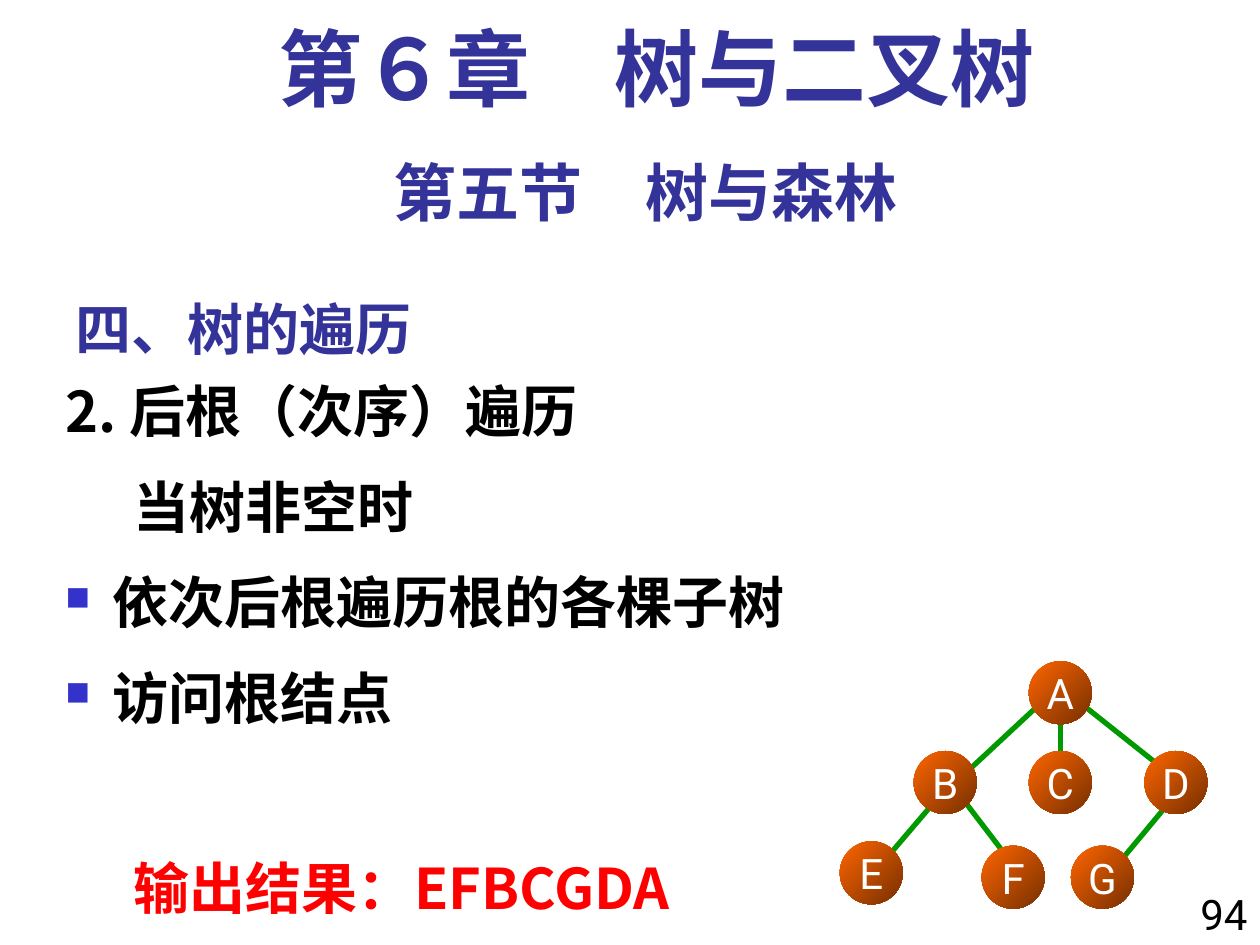
from dataclasses import dataclass

from lxml import etree
from pptx import Presentation
from pptx.dml.color import RGBColor
from pptx.enum.shapes import MSO_CONNECTOR, MSO_SHAPE
from pptx.enum.text import MSO_ANCHOR, MSO_AUTO_SIZE, PP_ALIGN
from pptx.oxml.ns import qn
from pptx.util import Cm, Pt

STRAIGHT = MSO_CONNECTOR.STRAIGHT
OVAL = MSO_SHAPE.OVAL
TOP, MIDDLE, BOTTOM = MSO_ANCHOR.TOP, MSO_ANCHOR.MIDDLE, MSO_ANCHOR.BOTTOM
GROW = MSO_AUTO_SIZE.SHAPE_TO_FIT_TEXT
LEFT, CENTER, RIGHT = PP_ALIGN.LEFT, PP_ALIGN.CENTER, PP_ALIGN.RIGHT


@dataclass(frozen=True)
class Theme:
    heading: str = "333399"
    body: str = "000000"
    result: str = "FF0000"
    bullet: str = "3333CC"
    edge: str = "009900"
    node_light: str = "FF6600"
    node_dark: str = "762F00"
    node_text: str = "FFFFFF"
    chinese_font: str = "Noto Sans CJK SC"
    latin_font: str = "Roboto"
    chapter_font: str = "Times New Roman"
    bullet_font: str = "Wingdings"
    chapter_size: int = 48
    section_size: int = 36
    body_size: int = 32
    small_size: int = 24
    edge_width: int = 3


THEME = Theme()
NODE_SIZE = 1.27
HANGING = 0.95
STEP_INDENT = 1.38
LINE_SPACING = 0.9
PARAGRAPH_GAP = 20
RESULT_GAP = 74.4

BODY_LINES = [
    ("2. 后根（次序）遍历", THEME.body, HANGING, -HANGING, 0, False),
    ("当树非空时", THEME.body, STEP_INDENT, 0, PARAGRAPH_GAP, False),
    ("依次后根遍历根的各棵子树", THEME.body, HANGING, -HANGING, PARAGRAPH_GAP, True),
    ("访问根结点", THEME.body, HANGING, -HANGING, PARAGRAPH_GAP, True),
    ("输出结果：EFBCGDA", THEME.result, STEP_INDENT, 0, RESULT_GAP, False),
]
TREE_NODES = {
    "A": (20.74, 13.33),
    "B": (18.42, 15.14),
    "C": (20.74, 15.14),
    "D": (23.07, 15.14),
    "E": (16.93, 16.96),
    "F": (19.79, 17.05),
    "G": (21.59, 17.05),
}
TREE_EDGES = [
    (21.69, 14.1, 23.29, 15.37),
    (21.06, 14.1, 19.48, 15.57),
    (21.38, 14.55, 21.38, 15.19),
    (19.15, 15.8, 17.98, 17.17),
    (19.25, 15.9, 20.22, 17.17),
    (23.8, 15.9, 22.66, 17.27),
]


def format_runs(paragraph, size, color, font_name, bold):
    """Apply one type style to every run of a paragraph."""
    for run in paragraph.runs:
        run.font.size = Pt(size)
        run.font.bold = bold
        run.font.name = font_name
        run.font.color.rgb = RGBColor.from_string(color)
        east_asian = etree.Element(qn("a:ea"), typeface=THEME.chinese_font)
        run.font._element.find(qn("a:latin")).addnext(east_asian)


def add_bullet(paragraph):
    """Give a paragraph a small coloured square bullet."""
    properties = paragraph._p.get_or_add_pPr()
    color = etree.SubElement(properties, qn("a:buClr"))
    etree.SubElement(color, qn("a:srgbClr"), val=THEME.bullet)
    etree.SubElement(properties, qn("a:buSzPct"), val="60000")
    etree.SubElement(properties, qn("a:buFont"), typeface=THEME.bullet_font, charset="2")
    etree.SubElement(properties, qn("a:buChar"), char="n")


def add_text_box(slide, box, anchor=TOP):
    """Add a wrapping text box and return its text frame."""
    text_frame = slide.shapes.add_textbox(*map(Cm, box)).text_frame
    text_frame.word_wrap = True
    text_frame.vertical_anchor = anchor
    return text_frame


def add_label(slide, text, box, size, color, font_name, align, bold=True, anchor=TOP):
    """Add a text box with one formatted line and return its text frame."""
    text_frame = add_text_box(slide, box, anchor)
    text_frame.text = text
    paragraph = text_frame.paragraphs[0]
    paragraph.alignment = align
    format_runs(paragraph, size, color, font_name, bold)
    return text_frame


def add_body(slide):
    """Add the traversal steps and the resulting order."""
    text_frame = add_text_box(slide, (1.07, 7.62, 15.67, 11.43))
    text_frame.text = "\n".join(line[0] for line in BODY_LINES)
    for paragraph, line in zip(text_frame.paragraphs, BODY_LINES):
        _, color, margin, indent, gap, bulleted = line
        properties = paragraph._p.get_or_add_pPr()
        properties.set("marL", str(Cm(margin)))
        properties.set("indent", str(Cm(indent)))
        if bulleted:
            add_bullet(paragraph)
        paragraph.line_spacing = LINE_SPACING
        paragraph.space_before = Pt(gap)
        format_runs(paragraph, THEME.body_size, color, THEME.chinese_font, True)


def add_edge(slide, ends):
    """Add one line between a parent and a child."""
    connector = slide.shapes.add_connector(STRAIGHT, *map(Cm, ends))
    connector.line.color.rgb = RGBColor.from_string(THEME.edge)
    connector.line.width = Pt(THEME.edge_width)
    etree.SubElement(connector._element.spPr, qn("a:effectLst"))


def add_node(slide, letter, position):
    """Add one lettered tree node with a diagonal gradient."""
    shape = slide.shapes.add_shape(OVAL, *map(Cm, (*position, NODE_SIZE, NODE_SIZE)))
    shape.shadow.inherit = False
    shape.line.fill.background()
    shape.fill.gradient()
    shape.fill.gradient_angle = 315
    for stop, color, place in zip(
        shape.fill.gradient_stops, (THEME.node_light, THEME.node_dark), (0, 1)
    ):
        stop.color.rgb = RGBColor.from_string(color)
        stop.position = place
    text_frame = shape.text_frame
    text_frame.word_wrap = False
    text_frame.vertical_anchor = MIDDLE
    text_frame.margin_left = text_frame.margin_right = 0
    text_frame.text = letter
    paragraph = text_frame.paragraphs[0]
    paragraph.alignment = CENTER
    format_runs(paragraph, THEME.small_size, THEME.node_text, THEME.latin_font, False)


def main():
    """Build the slide and save it."""
    presentation = Presentation()
    presentation.slide_width, presentation.slide_height = Cm(25.4), Cm(19.05)
    slide = presentation.slides.add_slide(presentation.slide_layouts[6])
    add_label(slide, "四、树的遍历", (1.27, 5.5, 15.88, 1.91), THEME.body_size,
              THEME.heading, THEME.chinese_font, LEFT, anchor=BOTTOM)
    page_number = add_label(slide, "94", (23.7, 17.78, 1.7, 1.5), THEME.small_size,
                            THEME.body, THEME.latin_font, RIGHT, bold=False)
    section = add_label(slide, "第五节　树与森林", (1.27, 2.97, 23.5, 1.78),
                        THEME.section_size, THEME.heading, THEME.latin_font, CENTER)
    page_number.auto_size = section.auto_size = GROW
    add_body(slide)
    chapter = add_label(slide, "第６章　树与二叉树", (1.7, 0.43, 23.06, 2.11),
                        THEME.chapter_size, THEME.heading, THEME.chapter_font, CENTER)
    chapter.paragraphs[0].line_spacing = LINE_SPACING
    for ends in TREE_EDGES:
        add_edge(slide, ends)
    for letter, position in TREE_NODES.items():
        add_node(slide, letter, position)
    presentation.save("out.pptx")


if __name__ == "__main__":
    main()
